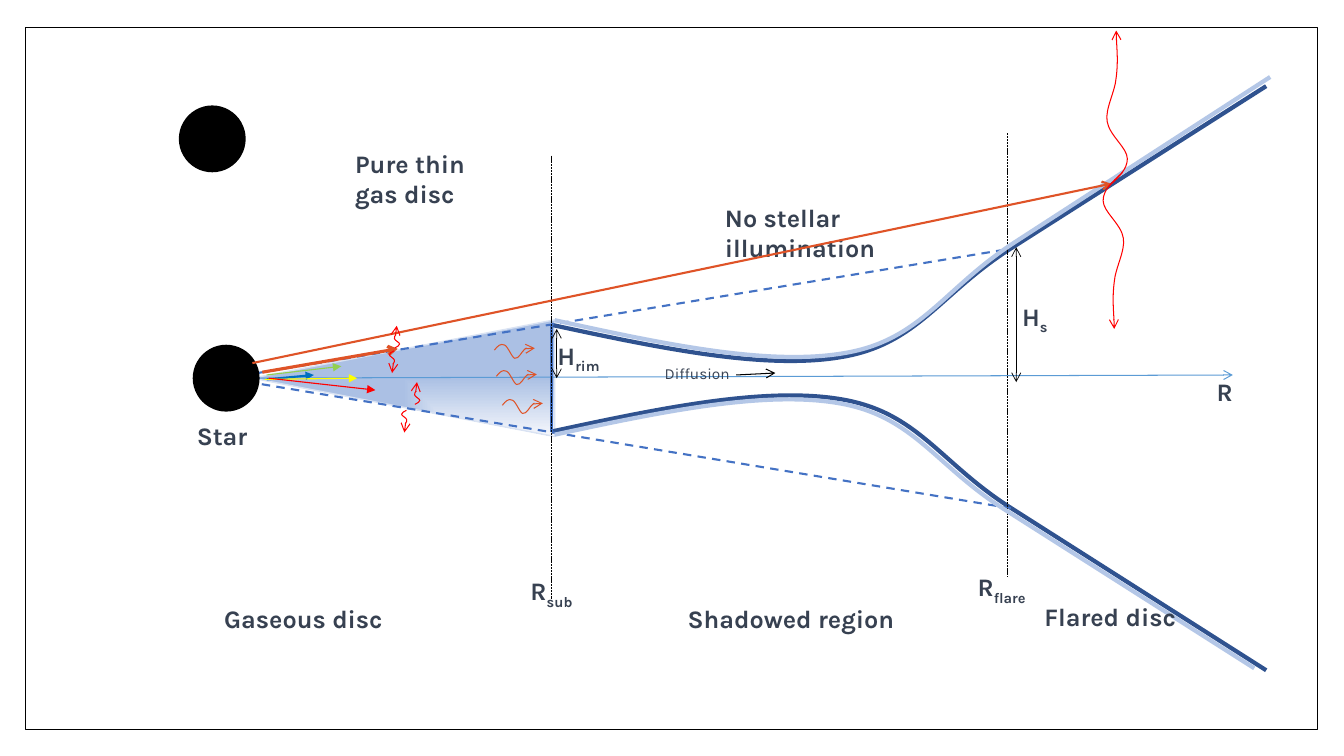
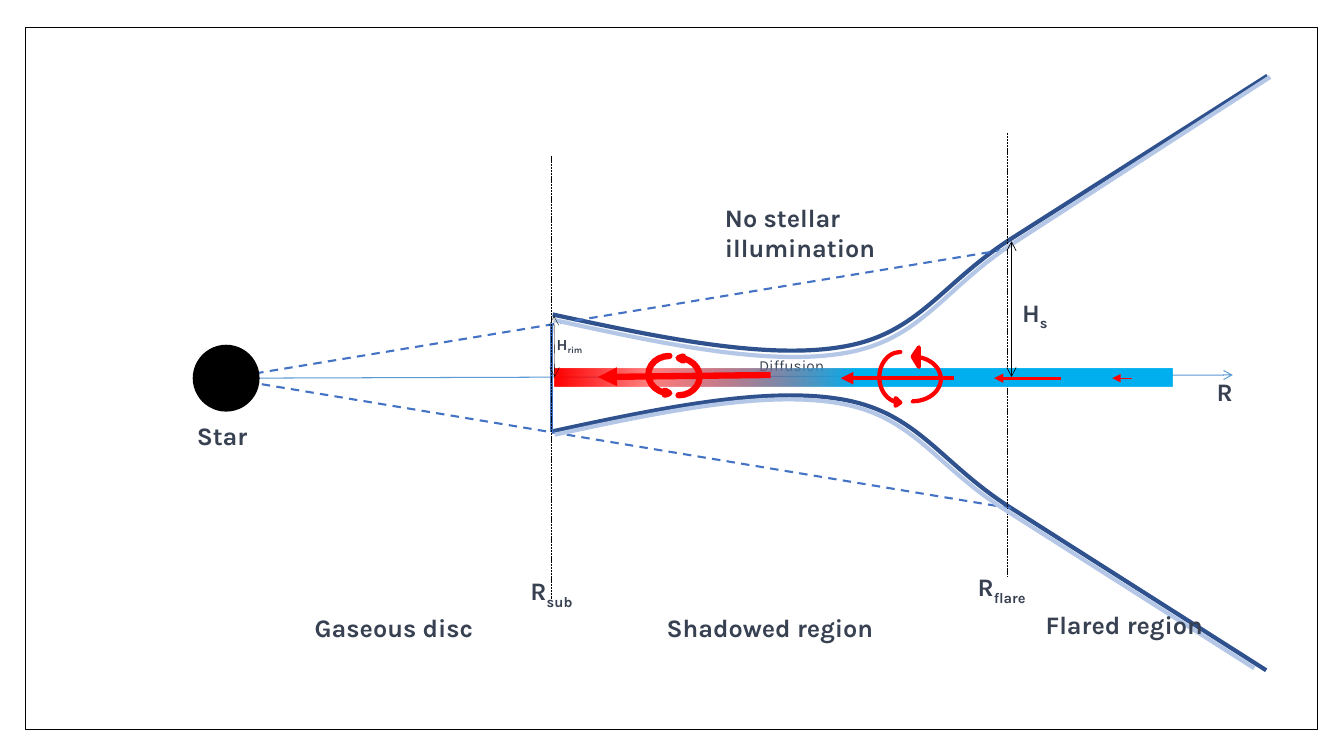
"""Draw two cross-sections of a disc around a star, measured in cm from the star."""
from lxml import etree
from pptx import Presentation
from pptx.dml.color import RGBColor
from pptx.enum.dml import MSO_LINE
from pptx.enum.shapes import MSO_CONNECTOR, MSO_SHAPE
from pptx.enum.text import MSO_AUTO_SIZE
from pptx.oxml.ns import qn
from pptx.util import Cm, Pt

STRAIGHT = MSO_CONNECTOR.STRAIGHT
RECT, OVAL, CURL = MSO_SHAPE.RECTANGLE, MSO_SHAPE.OVAL, MSO_SHAPE.CURVED_RIGHT_ARROW
DASH, DOT = MSO_LINE.DASH, MSO_LINE.SQUARE_DOT
GROW = MSO_AUTO_SIZE.SHAPE_TO_FIT_TEXT

FONT = "Karla"
COLORS = {
    "white": "FFFFFF", "black": "000000", "text": "374151", "axis": "5B9BD5",
    "edge": "4472C4", "dark": "2F528F", "light": "B4C7E7", "red": "FF0000",
    "orange": "DF5327", "green": "92D050", "yellow": "FFFF00", "blue": "0070C0",
    "sky": "00B0F0", "mist": "F6F8FC", "gas": "ABC0E4", "rim": "DAE3F3",
}
FRAME = (0.64, 0.69, 32.56, 17.7)
ORIGIN = (5.7, 9.53)
RIM, FLARE = 8.2, 19.69
STAR = 1.65

PROFILE = [(100, 100), (64.3, 41), (54.3, 24.5), (51.3, 6.2), (40.6, 1.5),
           (29.9, -3.3), (15, 4.8), (0, 13.2)]
WAVE = [(95, 0), (45, 6), (0, 11), (0, 18), (0, 25), (90, 33), (100, 42),
        (110, 50), (60, 61), (55, 70), (45, 80), (55, 94), (55, 100)]
RIPPLE = [(0, 43), (8, 14), (15, -7), (25, 7), (33, 14), (43, 93), (50, 100),
          (60, 107), (68, 50), (75, 36), (82, 21), (93, 29), (100, 29)]


def rgb(name):
    """Return a named colour."""
    return RGBColor.from_string(COLORS[name])


def add(parent, tag, **attrs):
    """Add a DrawingML child element."""
    return etree.SubElement(parent, qn("a:" + tag), attrs)


def fit(box, pts, flipx=False, flipy=False):
    """Place points given in percent inside a box."""
    left, top, wide, high = box
    return [(left + wide * (100 - x if flipx else x) / 100,
             top + high * (100 - y if flipy else y) / 100) for x, y in pts]


def stroke(shape, color, width, head=None, tail=None, dash=None):
    """Style a line and its arrowheads."""
    shape.line.color.rgb = rgb(color)
    shape.line.width = Pt(width)
    if dash:
        shape.line.dash_style = dash
    ln = shape.element.spPr.find(qn("a:ln"))
    for tag, kind in (("headEnd", head), ("tailEnd", tail)):
        if kind:
            add(ln, tag, type=kind)


def blend(shape, stops, corner=False):
    """Fill with a gradient, across or from the lower right corner."""
    shape.fill.background()
    props = shape.element.spPr
    grad = etree.Element(qn("a:gradFill"), {"rotWithShape": "1"})
    items = add(grad, "gsLst")
    for pos, color, alpha in stops:
        stop = add(items, "gs", pos=str(pos * 1000))
        tint = add(stop, "srgbClr", val=COLORS[color])
        if alpha < 100:
            add(tint, "alpha", val=str(alpha * 1000))
    if corner:
        add(add(grad, "path", path="rect"), "fillToRect", l="100000", t="100000")
    else:
        add(grad, "lin", ang="0", scaled="0")
    props.replace(props.find(qn("a:noFill")), grad)


class Pen:
    """Draw on a slide at distances from an origin."""

    def __init__(self, slide, box):
        """Keep the shapes and the origin."""
        self.shapes = slide.shapes
        self.left, self.top = box

    def spot(self, x, y):
        """Return slide lengths for a point."""
        return Cm(self.left + x), Cm(self.top + y)

    def line(self, ends, color, width, **style):
        """Draw a straight line between two points."""
        link = self.shapes.add_connector(
            STRAIGHT, *self.spot(*ends[:2]), *self.spot(*ends[2:]))
        stroke(link, color, width, **style)
        add(link.element.spPr, "effectLst")

    def shape(self, kind, box, fill=None):
        """Draw a preset shape without outline."""
        left, top, wide, high = box
        item = self.shapes.add_shape(
            kind, *self.spot(left, top), Cm(wide), Cm(high))
        item.shadow.inherit = False
        item.line.fill.background()
        if fill:
            item.fill.solid()
            item.fill.fore_color.rgb = rgb(fill)
        return item

    def outline(self, pts, close=False):
        """Draw a freeform through points."""
        first, *rest = [self.spot(*pt) for pt in pts]
        form = self.shapes.build_freeform(*first)
        form.add_line_segments(rest, close=close)
        item = form.convert_to_shape()
        item.shadow.inherit = False
        return item

    def curve(self, pts, color, width, skip=0, tail=None):
        """Draw Bezier curves after a number of straight parts."""
        item = self.outline(pts)
        item.fill.background()
        stroke(item, color, width, tail=tail)
        track = item.element.xpath(".//a:path")[0]
        parts = list(track)[1 + skip:]
        for i in range(0, len(parts), 3):
            bend = add(track, "cubicBezTo")
            for part in parts[i:i + 3]:
                bend.append(part[0])
                track.remove(part)

    def text(self, box, words, sub=None, size=18, bold=True):
        """Write a label with an optional subscript."""
        left, top, wide, high = box
        item = self.shapes.add_textbox(*self.spot(left, top), Cm(wide), Cm(high))
        frame = item.text_frame
        frame.word_wrap = True
        frame.auto_size = GROW
        para = frame.paragraphs[0]
        para.text = words
        para.space_after = Pt(8)
        if sub:
            run = para.add_run()
            run.text = sub
            run._r.get_or_add_rPr().set("baseline", "-25000")
        for run in para.runs:
            run.font.name = FONT
            run.font.size = Pt(size)
            run.font.bold = bold
            run.font.color.rgb = rgb("text")


def border(slide, layout, box):
    """Put the shared frame on the layout."""
    item = Pen(slide, (0, 0)).shape(RECT, box, "white")
    stroke(item, "black", 1)
    layout.shapes.element.insert(2, item.element)


def gas(slide, box):
    """Draw the wedge of gas inside the rim."""
    wedge = Pen(slide, box).outline(
        [(8.28, 1.47), (0.66, 0), (8.28, -1.47)], close=True)
    blend(wedge, [(0, "mist", 100), (100, "gas", 100)], corner=True)
    stroke(wedge, "rim", 1)


def disc(slide, box, upper):
    """Draw the star, axis, shadow lines and disc surface."""
    pen = Pen(slide, box)
    pen.curve(fit((RIM, 0.43, 18.01, 6.93), PROFILE), "dark", 3, skip=1)
    pen.curve(fit((*upper, 18.01, 6.93), PROFILE, flipy=True), "dark", 3, skip=1)
    pen.line((0, 0, 25.37, -0.08), "axis", 0.75, tail="arrow")
    pen.line((0, 0, FLARE, -3.25), "edge", 1.5, dash=DASH)
    pen.line((-0.2, -0.03, 19.79, 3.28), "edge", 1.5, dash=DASH)
    pen.line((RIM, -1.35, RIM, 1.35), "edge", 2.25)
    pen.line((RIM, -5.61, RIM, 5.56), "black", 0.5, dash=DOT)
    pen.line((FLARE, -6.17, FLARE, 5), "black", 0.5, dash=DOT)
    star(slide, box)
    pen.curve(fit((8.28, 0.53, 17.63, 6.78), PROFILE), "light", 3, skip=1)
    pen.curve(fit((8.28, -7.59, 18.03, 7.06), PROFILE, flipy=True),
              "light", 3, skip=1)
    pen.text((7.42, 4.85, 1.65, 1.02), "R", "sub")
    pen.text((18.69, 4.75, 2.16, 1.02), "R", "flare")
    pen.text((-0.99, 0.94, 1.83, 1.02), "Star")
    pen.text((24.71, -0.18, 2.11, 1.02), "R")
    pen.text((12.32, -4.55, 5.66, 1.8), "No stellar illumination")


def star(slide, box):
    """Draw a star centred on the box origin."""
    ball = Pen(slide, box).shape(OVAL, (-STAR / 2, -STAR / 2, STAR, STAR), "black")
    stroke(ball, "black", 1)


def names(slide, box, zones):
    """Label the zones of the disc."""
    pen = Pen(slide, box)
    for left, top, words in zones:
        pen.text((left, top, 5.8, 1.02), words)


def heights(slide, box, rim, flare, thin):
    """Draw the arrows for the two heights."""
    pen = Pen(slide, box)
    pen.line(rim, "black", thin, head="arrow", tail="arrow")
    pen.line(flare, "black", 0.5, head="arrow", tail="arrow")


def light(slide, box):
    """Draw the star's rays and the re-emitted waves."""
    pen = Pen(slide, box)
    for ends, color, width in (
            ((1.02, 0.03, 2.21, -0.08), "blue", 1.5),
            ((1.02, -0.08, 2.9, -0.3), "green", 0.79),
            ((0.97, 0.03, 3.3, 0), "yellow", 0.79),
            ((1.07, 0, 3.76, 0.3), "red", 0.79)):
        pen.line(ends, color, width, tail="triangle")
    for left, top in ((6.81, -0.2), (6.76, -0.86), (6.96, 0.53)):
        pen.curve(fit((left, top, 1.02, 0.36), RIPPLE), "orange", 0.75, tail="arrow")
    pen.line((0.91, -0.15, 4.32, -0.74), "orange", 2.25, tail="arrow")
    pen.line((0.66, -0.38, 22.3, -4.9), "orange", 1.5, tail="arrow")
    small, large = (0.13, 0.56), (0.51, 3.94)
    for left, top, size, turn in (
            (4.42, 0.81, small, False), (4.24, -1.32, small, True),
            (4.11, -0.69, small, False), (4.75, 0.1, small, True),
            (22.1, -5.18, large, False), (22.2, -8.76, large, True)):
        pen.curve(fit((left, top, *size), WAVE, turn, turn), "red", 0.75, tail="arrow")


def flow(slide, box):
    """Draw the midplane band with inward flow and eddies."""
    pen = Pen(slide, box)
    band = pen.shape(RECT, (8.28, -0.25, 15.57, 0.46))
    blend(band, [(0, "red", 100), (15, "red", 50), (49, "sky", 100),
                 (100, "sky", 100)])
    for ends, width in (((22.83, 0, 22.33, 0), 0.79), ((21.03, 0, 19.35, 0), 2.25),
                        ((18.34, 0, 15.49, 0), 3), ((13.72, -0.08, 9.37, -0.03), 4.5)):
        pen.line(ends, "red", width, tail="triangle")
    for area, turn, bend, width in (
            ((10.64, -0.56, 0.53, 0.99), 0, 0.2, 4.5),
            ((11.4, -0.56, 0.53, 0.99), 180, 0.2, 4.5),
            ((16.46, -0.66, 0.53, 1.37), 0, 0.36, 3),
            ((17.3, -0.79, 0.71, 1.37), 180, 0.69, 3)):
        eddy = pen.shape(CURL, area, "red")
        for i, part in enumerate((0, bend, 0.22)):
            eddy.adjustments[i] = part
        eddy.rotation = turn
        stroke(eddy, "red", width)


def heated(slide, box):
    """Build the slide of stellar heating."""
    pen = Pen(slide, box)
    gas(slide, box)
    disc(slide, box, (RIM, -7.36))
    star(slide, (box[0] - 0.35, box[1] - 6.03))
    pen.text((8.1, -1.09, 2.11, 1.02), "H", "rim")
    pen.text((10.8, -0.48, 3.05, 0.74), "Diffusion", size=11, bold=False)
    pen.line((12.85, -0.08, 13.84, -0.13), "black", 0.75, tail="arrow")
    pen.text((3, -5.92, 3.86, 1.8), "Pure thin gas disc")
    names(slide, box, ((-0.3, 5.56, "Gaseous disc"), (11.38, 5.56, "Shadowed region"),
                       (20.37, 5.51, "Flared disc")))
    heights(slide, box, (8.33, -1.24, 8.33, 0), (19.91, -3.3, 19.91, 0.1), 0.5)
    light(slide, box)
    pen.text((19.81, -2.06, 1.3, 1.02), "H", "s")


def mixed(slide, box):
    """Build the slide of flow along the midplane."""
    pen = Pen(slide, box)
    disc(slide, box, (8.23, -7.62))
    pen.text((8.08, -1.22, 2.11, 0.74), "H", "rim", size=11)
    pen.text((13.18, -0.69, 2.64, 0.74), "Diffusion", size=11, bold=False)
    names(slide, box, ((1.98, 5.77, "Gaseous disc"), (10.85, 5.77, "Shadowed region"),
                       (20.4, 5.69, "Flared region")))
    flow(slide, box)
    heights(slide, box, (8.26, -1.57, 8.28, -0.03), (19.79, -3.45, 19.79, -0.03), 0.25)
    pen.text((19.81, -2.16, 1.3, 1.02), "H", "s")


def main():
    """Build and save the deck."""
    deck = Presentation()
    deck.slide_width, deck.slide_height = Cm(33.87), Cm(19.05)
    blank = deck.slide_layouts[6]
    first, second = [deck.slides.add_slide(blank) for _ in range(2)]
    border(first, blank, FRAME)
    heated(first, ORIGIN)
    mixed(second, ORIGIN)
    deck.save("out.pptx")


if __name__ == "__main__":
    main()
